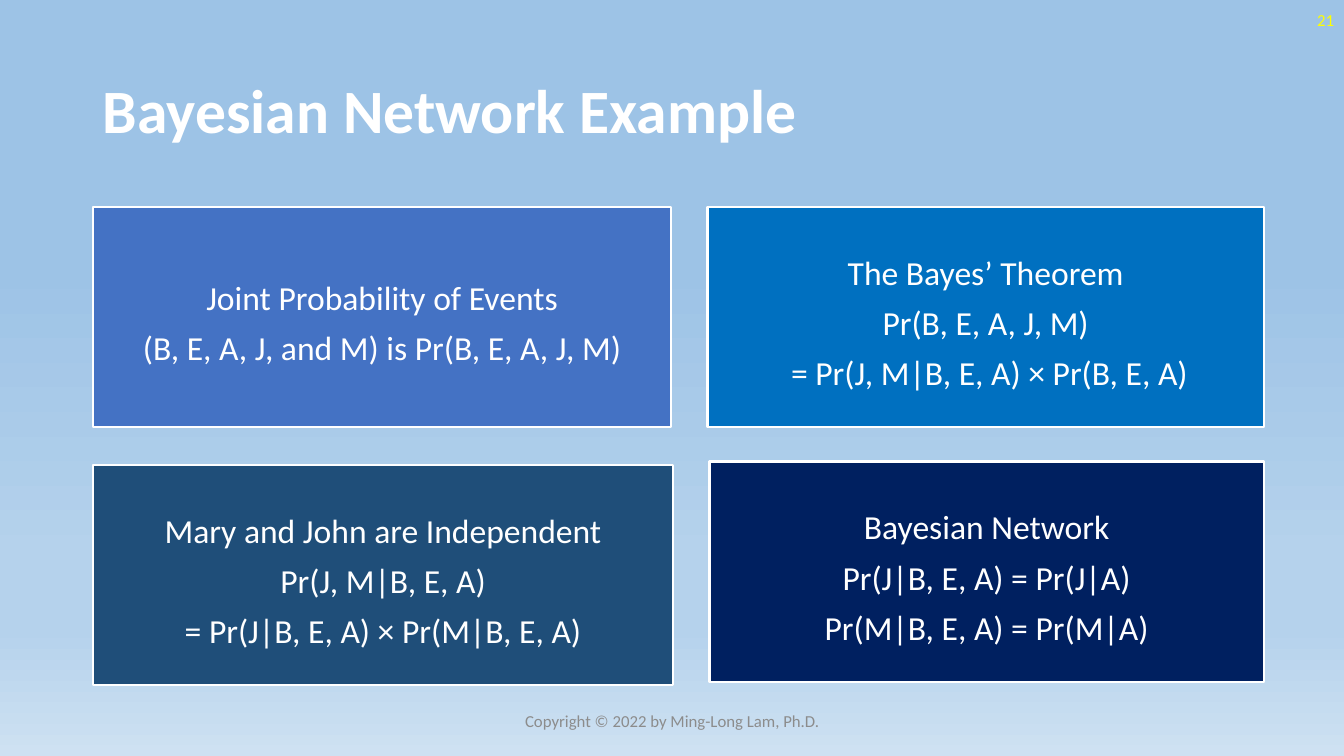
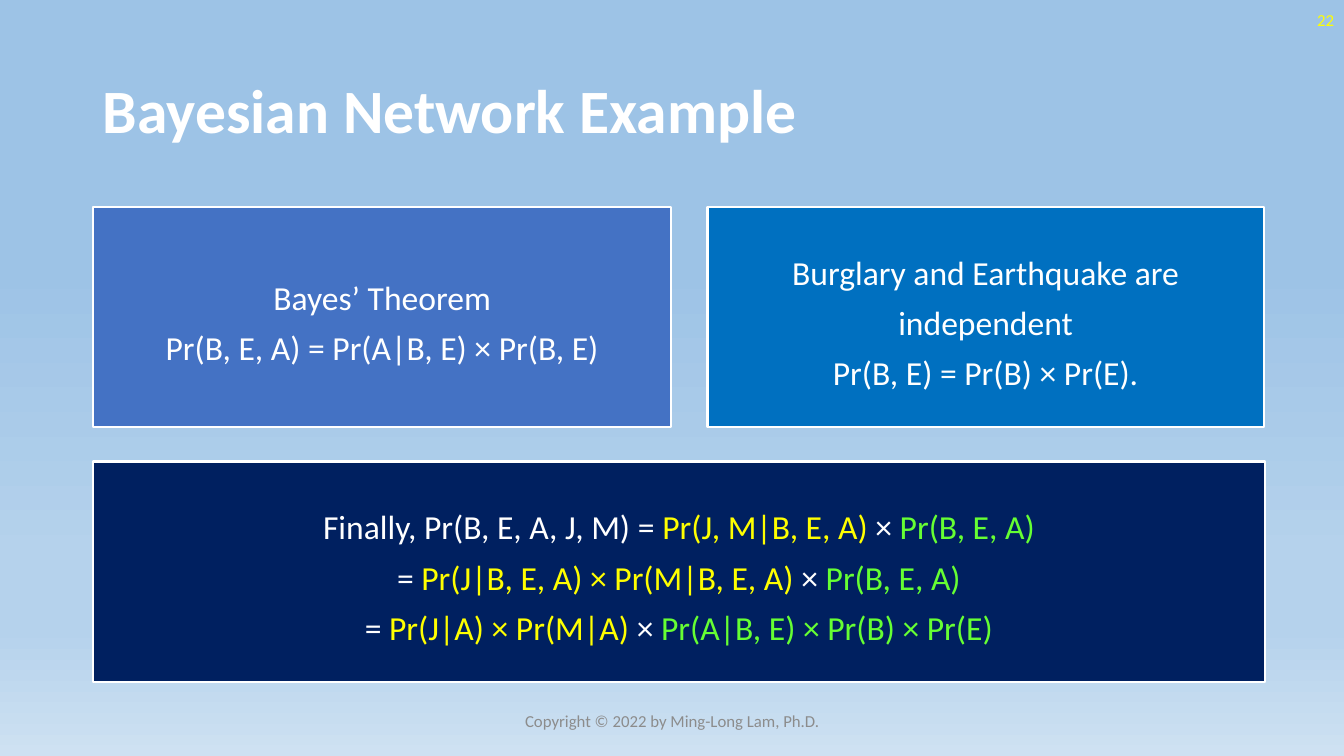
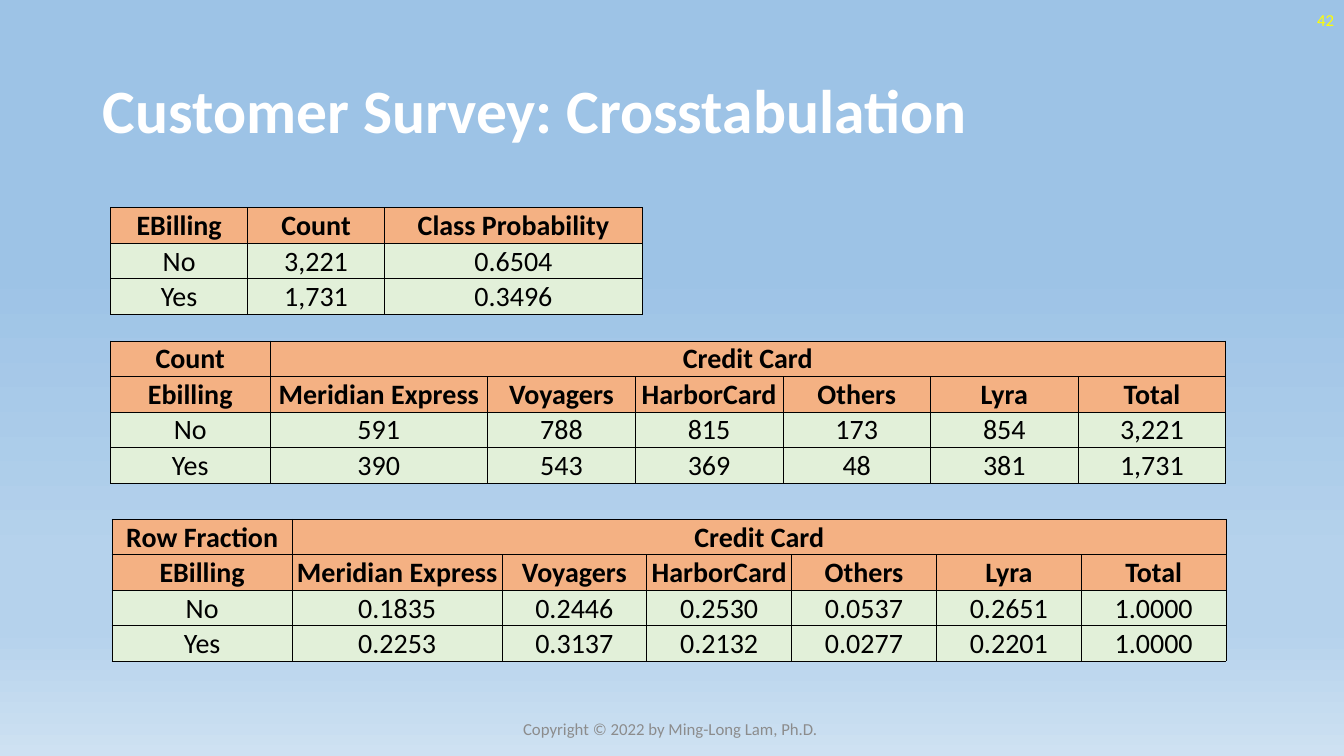
"""Build three lecture slides on Bayesian networks and a customer survey crosstabulation."""
import lxml.etree
import pptx
import pptx.dml.color
import pptx.enum.shapes
import pptx.enum.text
import pptx.oxml.ns
import pptx.util

Cm = pptx.util.Cm
Pt = pptx.util.Pt
RGBColor = pptx.dml.color.RGBColor
ALIGN = pptx.enum.text.PP_ALIGN
MIDDLE = pptx.enum.text.MSO_ANCHOR.MIDDLE
qn = pptx.oxml.ns.qn

WHITE = RGBColor(0xFF, 0xFF, 0xFF)
BLACK = RGBColor(0x00, 0x00, 0x00)
YELLOW = RGBColor(0xFF, 0xFF, 0x00)
GREEN = RGBColor(0x66, 0xFF, 0x33)
GRAY = RGBColor(0x8C, 0x8C, 0x8C)
INDIGO = RGBColor(0x44, 0x72, 0xC4)
BLUE = RGBColor(0x00, 0x70, 0xC0)
TEAL = RGBColor(0x1F, 0x4E, 0x79)
NAVY = RGBColor(0x00, 0x20, 0x60)
ORANGE = RGBColor(0xF4, 0xB1, 0x83)
MINT = RGBColor(0xE2, 0xF0, 0xD9)
SKY = RGBColor(0x9D, 0xC3, 0xE6)
HAZE = RGBColor(0xB5, 0xD2, 0xEC)
MIST = RGBColor(0xCE, 0xE1, 0xF2)
SKY_STOPS = [(35, SKY), (74, HAZE), (83, HAZE), (100, MIST)]

FRAME = {"word_wrap": True, "vertical_anchor": MIDDLE}
PANEL_FRAME = {**FRAME, "margin_left": Cm(0.25), "margin_right": Cm(0.25),
               "margin_top": Cm(0.25), "margin_bottom": Cm(0.25)}
CELL_FRAME = {"vertical_anchor": MIDDLE, "margin_left": Cm(0.03), "margin_right": Cm(0.03),
              "margin_top": Cm(0.03), "margin_bottom": 0}
TITLE_PLACE = {"left": Cm(2.34), "top": Cm(1.02), "width": Cm(29.21), "height": Cm(3.68)}
TITLE_PARAGRAPH = {"alignment": ALIGN.LEFT, "line_spacing": 0.9}
PANEL_PARAGRAPH = {"alignment": ALIGN.CENTER, "line_spacing": 1.25}
TITLE_FONT = {"name": "Calibri", "size": Pt(44), "bold": True}
PANEL_FONT = {"name": "Calibri", "size": Pt(24)}
SMALL_FONT = {"name": "Calibri", "size": Pt(12)}
HEAD_FONT = {"name": "Calibri", "size": Pt(20), "bold": True}
BODY_FONT = {**HEAD_FONT, "bold": False}

COPYRIGHT = "Copyright © 2022 by Ming-Long Lam, Ph.D."
ROW_HEIGHT = 0.89
CARDS = ["Meridian Express", "Voyagers", "HarborCard", "Others", "Lyra", "Total"]


def assign(target, values):
    for attribute, value in values.items():
        setattr(target, attribute, value)


def write(frame, lines, paragraph_format, font_format, color):
    for index, line in enumerate(lines):
        paragraph = frame.add_paragraph() if index else frame.paragraphs[0]
        assign(paragraph, paragraph_format)
        for text, accent in [(line, color)] if isinstance(line, str) else line:
            run = paragraph.add_run()
            run.text = text
            assign(run.font, font_format)
            run.font.color.rgb = accent


pages = [
    {
        "title": "Bayesian Network Example", "number": "21", "footer": (11.23, 17.65),
        "panels": [
            ((2.34, 5.21, 14.58), INDIGO,
             ["Joint Probability of Events", "(B, E, A, J, and M) is Pr(B, E, A, J, M)"]),
            ((17.83, 5.21, 14.02), BLUE,
             ["The Bayes’ Theorem", "Pr(B, E, A, J, M)", " = Pr(J, M|B, E, A) × Pr(B, E, A)"]),
            ((2.34, 11.71, 14.63), TEAL,
             ["Mary and John are Independent", "Pr(J, M|B, E, A)",
              "= Pr(J|B, E, A) × Pr(M|B, E, A)"]),
            ((17.88, 11.63, 13.97), NAVY,
             ["Bayesian Network", "Pr(J|B, E, A) = Pr(J|A)", "Pr(M|B, E, A) = Pr(M|A)"]),
        ],
        "tables": [],
    },
    {
        "title": "Bayesian Network Example", "number": "22", "footer": (11.23, 17.65),
        "panels": [
            ((2.34, 5.21, 14.58), INDIGO,
             ["Bayes’ Theorem", "Pr(B, E, A) = Pr(A|B, E) × Pr(B, E)"]),
            ((17.83, 5.21, 14.02), BLUE,
             ["Burglary and Earthquake are independent", "Pr(B, E) = Pr(B) × Pr(E)."]),
            ((2.34, 11.63, 29.54), NAVY,
             [[(lead, WHITE), (alarm_calls, YELLOW), (" × ", WHITE), (causes, GREEN)]
              for lead, alarm_calls, causes in [
                  ("Finally, Pr(B, E, A, J, M) = ", "Pr(J, M|B, E, A)", "Pr(B, E, A)"),
                  ("= ", "Pr(J|B, E, A) × Pr(M|B, E, A)", "Pr(B, E, A)"),
                  ("= ", "Pr(J|A) × Pr(M|A)", "Pr(A|B, E) × Pr(B) × Pr(E)")]]),
        ],
        "tables": [],
    },
    {
        "title": "Customer Survey: Crosstabulation", "number": "42", "footer": (11.18, 17.86),
        "panels": [],
        "tables": [
            ((2.79, 5.23), [3.45, 3.45, 6.5], 1,
             [["EBilling", "Count", "Class Probability"],
              ["No", "3,221", "0.6504"],
              ["Yes", "1,731", "0.3496"]]),
            ((2.79, 8.59), [4.01, 5.49] + [3.72] * 5, 2,
             [["Count", "Credit Card"],
              ["Ebilling"] + CARDS,
              ["No", "591", "788", "815", "173", "854", "3,221"],
              ["Yes", "390", "543", "369", "48", "381", "1,731"]]),
            ((2.82, 13.08), [4.55, 5.28] + [3.65] * 5, 2,
             [["Row Fraction", "Credit Card"],
              ["EBilling"] + CARDS,
              ["No", "0.1835", "0.2446", "0.2530", "0.0537", "0.2651", "1.0000"],
              ["Yes", "0.2253", "0.3137", "0.2132", "0.0277", "0.2201", "1.0000"]]),
        ],
    },
]

deck = pptx.Presentation()
deck.slide_width, deck.slide_height = Cm(33.87), Cm(19.05)

deck.slide_master.background.fill.gradient()
sky = deck.slide_master.element.find(".//" + qn("a:gradFill"))
stops = sky.find(qn("a:gsLst"))
for stop in list(stops):
    stops.remove(stop)
for percent, color in SKY_STOPS:
    stop = lxml.etree.SubElement(stops, qn("a:gs"), pos=str(percent * 1000))
    lxml.etree.SubElement(stop, qn("a:srgbClr"), val=str(color))
sky.find(qn("a:lin")).set("ang", "5400000")

for page in pages:
    slide = deck.slides.add_slide(deck.slide_layouts[5])
    title = slide.shapes.title
    assign(title, TITLE_PLACE)
    assign(title.text_frame, FRAME)
    write(title.text_frame, [page["title"]], TITLE_PARAGRAPH, TITLE_FONT, WHITE)

    for (left, top, width), fill, lines in page["panels"]:
        panel = slide.shapes.add_shape(pptx.enum.shapes.MSO_SHAPE.RECTANGLE,
                                       Cm(left), Cm(top), Cm(width), Cm(5.56))
        panel.shadow.inherit = False
        panel.fill.solid()
        panel.fill.fore_color.rgb = fill
        panel.line.color.rgb = WHITE
        panel.line.width = Pt(1.5)
        assign(panel.text_frame, PANEL_FRAME)
        write(panel.text_frame, lines, PANEL_PARAGRAPH, PANEL_FONT, WHITE)

    for (left, top), widths, head_rows, rows in page["tables"]:
        crosstab = slide.shapes.add_table(
            len(rows), len(widths), Cm(left), Cm(top),
            Cm(sum(widths)), Cm(ROW_HEIGHT * len(rows))).table
        assign(crosstab, {"first_row": False, "horz_banding": False})
        for column, width in zip(crosstab.columns, widths):
            column.width = Cm(width)
        for row_index, row in enumerate(rows):
            crosstab.rows[row_index].height = Cm(ROW_HEIGHT)
            is_head = row_index < head_rows
            for column_index in range(len(widths)):
                cell = crosstab.cell(row_index, column_index)
                assign(cell, CELL_FRAME)
                for side in ("a:lnL", "a:lnR", "a:lnT", "a:lnB"):
                    border = lxml.etree.SubElement(cell._tc.get_or_add_tcPr(), qn(side), w="6350")
                    ink = lxml.etree.SubElement(border, qn("a:solidFill"))
                    lxml.etree.SubElement(ink, qn("a:srgbClr"), val=str(BLACK))
                cell.fill.solid()
                cell.fill.fore_color.rgb = ORANGE if is_head else MINT
                if column_index < len(row):
                    write(cell.text_frame, [row[column_index]], {"alignment": ALIGN.CENTER},
                          HEAD_FONT if is_head else BODY_FONT, BLACK)
            if len(row) < len(widths):
                crosstab.cell(row_index, len(row) - 1).merge(
                    crosstab.cell(row_index, len(widths) - 1))

    for text, (left, top), width, alignment, color in [
            (page["number"], (26.25, 0), 7.62, ALIGN.RIGHT, YELLOW),
            (COPYRIGHT, page["footer"], 11.43, ALIGN.CENTER, GRAY)]:
        margin_note = slide.shapes.add_textbox(Cm(left), Cm(top), Cm(width), Cm(1.02))
        assign(margin_note.text_frame, FRAME)
        write(margin_note.text_frame, [text], {"alignment": alignment}, SMALL_FONT, color)

deck.save("out.pptx")
